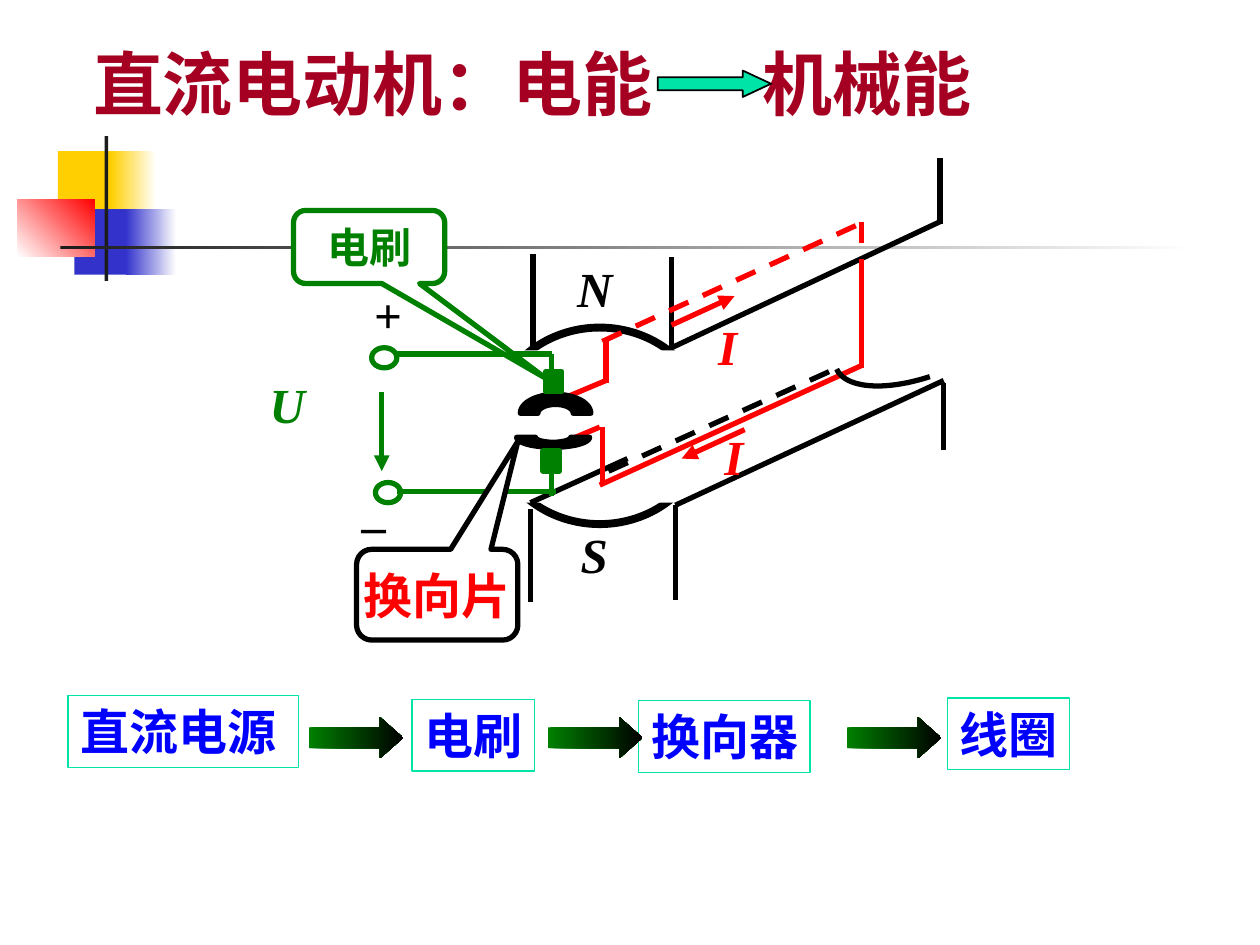
import math

import lxml.etree
import pptx
import pptx.dml.color
import pptx.enum.dml
import pptx.enum.shapes
import pptx.enum.text
import pptx.oxml.ns
import pptx.util

Inches = pptx.util.Inches
Pt = pptx.util.Pt
qn = pptx.oxml.ns.qn
rgb = pptx.dml.color.RGBColor.from_string
KIND = pptx.enum.shapes.MSO_SHAPE
ALIGN = pptx.enum.text.PP_ALIGN
ANCHOR = pptx.enum.text.MSO_ANCHOR

BLACK, WHITE, RED, GREEN, BLUE, MINT = "000000", "FFFFFF", "FF0000", "008000", "0000FF", "00E4A8"

deck = pptx.Presentation()
deck.slide_width, deck.slide_height = Inches(10), Inches(7.5)
slide = deck.slides.add_slide(deck.slide_layouts[6])
shapes = slide.shapes


def draw(kind, box, fill=None, line=None, width=3):
    """Add a preset shape; fill is a hex colour or (from, to, angle)."""
    shape = shapes.add_shape(kind, *map(Inches, box))
    shape.shadow.inherit = False
    if fill is None:
        shape.fill.background()
    elif isinstance(fill, str):
        shape.fill.solid()
        shape.fill.fore_color.rgb = rgb(fill)
    else:
        shape.fill.gradient()
        shape.fill.gradient_angle = fill[2]
        for stop, colour in zip(shape.fill.gradient_stops, fill):
            stop.color.rgb = rgb(colour)
    if line is None:
        shape.line.fill.background()
    else:
        shape.line.color.rgb = rgb(line)
        shape.line.width = Pt(width)
    return shape


def write(shape, text, colour, size=28, italic=False, wrap=False, font="Times New Roman",
          align=ALIGN.CENTER, anchor=ANCHOR.MIDDLE, tab=None):
    frame = shape.text_frame
    frame.word_wrap = wrap
    frame.vertical_anchor = anchor
    paragraph = frame.paragraphs[0]
    paragraph.alignment = align
    if tab:
        tabs = lxml.etree.SubElement(paragraph._p.get_or_add_pPr(), qn("a:tabLst"))
        lxml.etree.SubElement(tabs, qn("a:tab"), pos=str(Inches(tab)), algn="l")
    run = paragraph.add_run()
    run.text = text
    run.font.color.rgb = rgb(colour)
    formats = {"size": Pt(size), "bold": True, "italic": italic, "name": font}
    for name, value in formats.items():
        setattr(run.font, name, value)
    east_asian = lxml.etree.SubElement(run._r.get_or_add_rPr(), qn("a:ea"))
    east_asian.set("typeface", "Noto Sans CJK SC")


# Corner ornament and title
ornament = [
    ((0.46, 1.2, 0.48, 0.52), "FFCF01"),
    ((0.88, 1.2, 0.36, 0.52), ("FFCF01", WHITE, 0)),
    ((0.59, 1.66, 0.46, 0.52), "3333CC"),
    ((1, 1.66, 0.4, 0.52), ("3333CC", WHITE, 0)),
    ((0.14, 1.58, 0.61, 0.46), (WHITE, RED, 45)),
    ((0.83, 1.08, 0.03, 1.15), "1C1C1C"),
    ((0.48, 1.95, 9, 0.03), ("1C1C1C", WHITE, 0)),
]
for box, fill in ornament:
    draw(KIND.RECTANGLE, box, fill)

title = shapes.add_textbox(Inches(0.64), Inches(0.27), Inches(7.49), Inches(1.44))
write(title, "直流电动机：电能\t机械能", "A50021", size=40, wrap=True,
      align=ALIGN.LEFT, anchor=ANCHOR.TOP, tab=5.31)

# Pole faces: the ends of one ellipse, with its middle masked
draw(KIND.OVAL, (3.91, 2.6, 1.7, 1.56), line=BLACK, width=4.5)
draw(KIND.RECTANGLE, (3.86, 2.78, 1.83, 1.21), WHITE)

# Straight lines: x1, y1, x2, y2, colour, style
segments = [
    # magnets
    (4.23, 2.02, 4.23, 2.76, BLACK, ""),
    (5.33, 2.04, 5.33, 2.78, BLACK, ""),
    (4.21, 4.04, 4.21, 4.78, BLACK, ""),
    (5.36, 4.01, 5.36, 4.76, BLACK, ""),
    (5.33, 2.76, 7.46, 1.76, BLACK, ""),
    (7.46, 1.25, 7.46, 1.78, BLACK, ""),
    (5.36, 4.01, 7.49, 3.02, BLACK, ""),
    (7.49, 3.04, 7.49, 3.57, BLACK, ""),
    (4.21, 3.99, 4.98, 3.64, BLACK, ""),
    (4.83, 3.74, 6.69, 2.9, BLACK, "dash"),
    # coil
    (4.78, 2.71, 6.86, 1.76, RED, "dash"),
    (6.84, 1.76, 6.84, 2.25, RED, "dash"),
    (6.84, 2.18, 6.84, 2.92, RED, ""),
    (4.76, 3.85, 6.84, 2.9, RED, ""),
    (4.81, 2.69, 4.81, 3.04, RED, ""),
    (4.78, 3.39, 4.78, 3.85, RED, ""),
    (4.81, 3.02, 4.38, 3.2, RED, ""),
    (4.76, 3.39, 4.33, 3.57, RED, ""),
    # current and voltage
    (5.33, 2.58, 5.83, 2.35, RED, "arrow"),
    (5.91, 3.41, 5.41, 3.64, RED, "arrow"),
    (3.03, 3.11, 3.03, 3.74, GREEN, "arrow"),
    # supply wires
    (3.15, 2.81, 4.38, 2.81, GREEN, ""),
    (3.15, 3.9, 4.41, 3.9, GREEN, ""),
    (4.38, 2.81, 4.38, 3.11, GREEN, ""),
    (4.38, 3.71, 4.38, 3.94, GREEN, ""),
]
for *ends, colour, style in segments:
    segment = shapes.add_connector(pptx.enum.shapes.MSO_CONNECTOR.STRAIGHT, *map(Inches, ends))
    segment.line.color.rgb = rgb(colour)
    segment.line.width = Pt(3)
    if style == "dash":
        segment.line.dash_style = pptx.enum.dml.MSO_LINE.DASH
    elif style == "arrow":
        lxml.etree.SubElement(segment.line._get_or_add_ln(), qn("a:tailEnd"), type="triangle")
    lxml.etree.SubElement(segment._element.spPr, qn("a:effectLst"))

# Far edge of the south pole (a cubic curve) and the two commutator halves
STEPS = 24
far_edge = []
for step in range(STEPS + 1):
    t = step / STEPS
    weights = ((1 - t) ** 3, 3 * t * (1 - t) ** 2, 3 * t ** 2 * (1 - t), t ** 3)
    far_edge.append((sum(w * x for w, x in zip(weights, (6.64, 6.71, 7.01, 7.38))),
                     sum(w * y for w, y in zip(weights, (2.93, 3.08, 3.11, 2.99)))))
outlines = [(far_edge, False)]

# centre x, centre y, outer radii, inner radii; negative heights point up
for cx, cy, outer, inner in [(4.41, 3.28, (0.28, -0.15), (0.14, -0.07)),
                             (4.39, 3.47, (0.29, 0.08), (0.14, 0.04))]:
    angles = [math.pi * step / STEPS for step in range(STEPS + 1)]
    half_ring = [(cx + rx * math.cos(angle), cy + ry * math.sin(angle))
                 for (rx, ry), sweep in ((outer, angles), (inner, angles[::-1]))
                 for angle in sweep]
    outlines.append((half_ring, True))

for points, closed in outlines:
    start, *rest = [(Inches(x), Inches(y)) for x, y in points]
    builder = shapes.build_freeform(*start)
    builder.add_line_segments(rest, close=closed)
    outline = builder.convert_to_shape()
    outline.shadow.inherit = False
    outline.line.color.rgb = rgb(BLACK)
    outline.line.width = Pt(3)
    if closed:
        outline.fill.solid()
        outline.fill.fore_color.rgb = rgb(BLACK)
    else:
        outline.fill.background()

# Brushes and terminals
for left, top in [(4.33, 2.95), (4.31, 3.58)]:
    draw(KIND.RECTANGLE, (left, top, 0.13, 0.16), GREEN, GREEN)
for left, top in [(2.95, 2.76), (2.98, 3.83)]:
    draw(KIND.OVAL, (left, top, 0.2, 0.16), line=GREEN)

symbols = [
    ("U", 2.04, 2.92, 0.48, GREEN),
    ("+", 2.87, 2.21, 0.42, BLACK),
    ("–", 2.77, 3.87, 0.39, BLACK),
    ("N", 4.48, 2, 0.48, BLACK),
    ("S", 4.51, 4.11, 0.41, BLACK),
    ("I", 5.6, 2.46, 0.35, RED),
    ("I", 5.65, 3.33, 0.35, RED),
]
for symbol, left, top, width, colour in symbols:
    label = shapes.add_textbox(Inches(left), Inches(top), Inches(width), Inches(0.57))
    write(label, symbol, colour, italic=symbol.isalpha())

callouts = [
    ("电刷", (2.33, 1.67, 1.2, 0.58), (1.17, 1.8), GREEN, GREEN, 24, "Times New Roman"),
    ("换向片", (2.83, 4.36, 1.28, 0.72), (0.5, -1.69), BLACK, RED, 28, "Noto Sans CJK SC"),
]
for text, box, pointer, line, colour, size, font in callouts:
    callout = draw(KIND.ROUNDED_RECTANGULAR_CALLOUT, box, WHITE, line)
    callout.adjustments[0], callout.adjustments[1] = pointer
    write(callout, text, colour, size, font=font)

# Current path along the bottom
stages = [
    ("直流电源", 0.54, 5.52, 1.83),
    ("电刷", 3.27, 5.55, 0.97),
    ("换向器", 5.07, 5.56, 1.36),
    ("线圈", 7.52, 5.54, 0.97),
]
for text, left, top, width in stages:
    stage = draw(KIND.RECTANGLE, (left, top, width, 0.57), line=MINT, width=0.75)
    write(stage, text, BLUE, align=ALIGN.LEFT, anchor=ANCHOR.TOP, wrap=text == "直流电源")

for left in (2.45, 4.35, 6.72):
    step_arrow = draw(KIND.RIGHT_ARROW, (left, 5.69, 0.75, 0.33), (GREEN, BLACK, 0))
    step_arrow.adjustments[1] = 0.56

energy_arrow = draw(KIND.RIGHT_ARROW, (5.22, 0.56, 0.9, 0.21), MINT, BLACK, 1)
energy_arrow.adjustments[1] = 1.07

deck.save("out.pptx")
